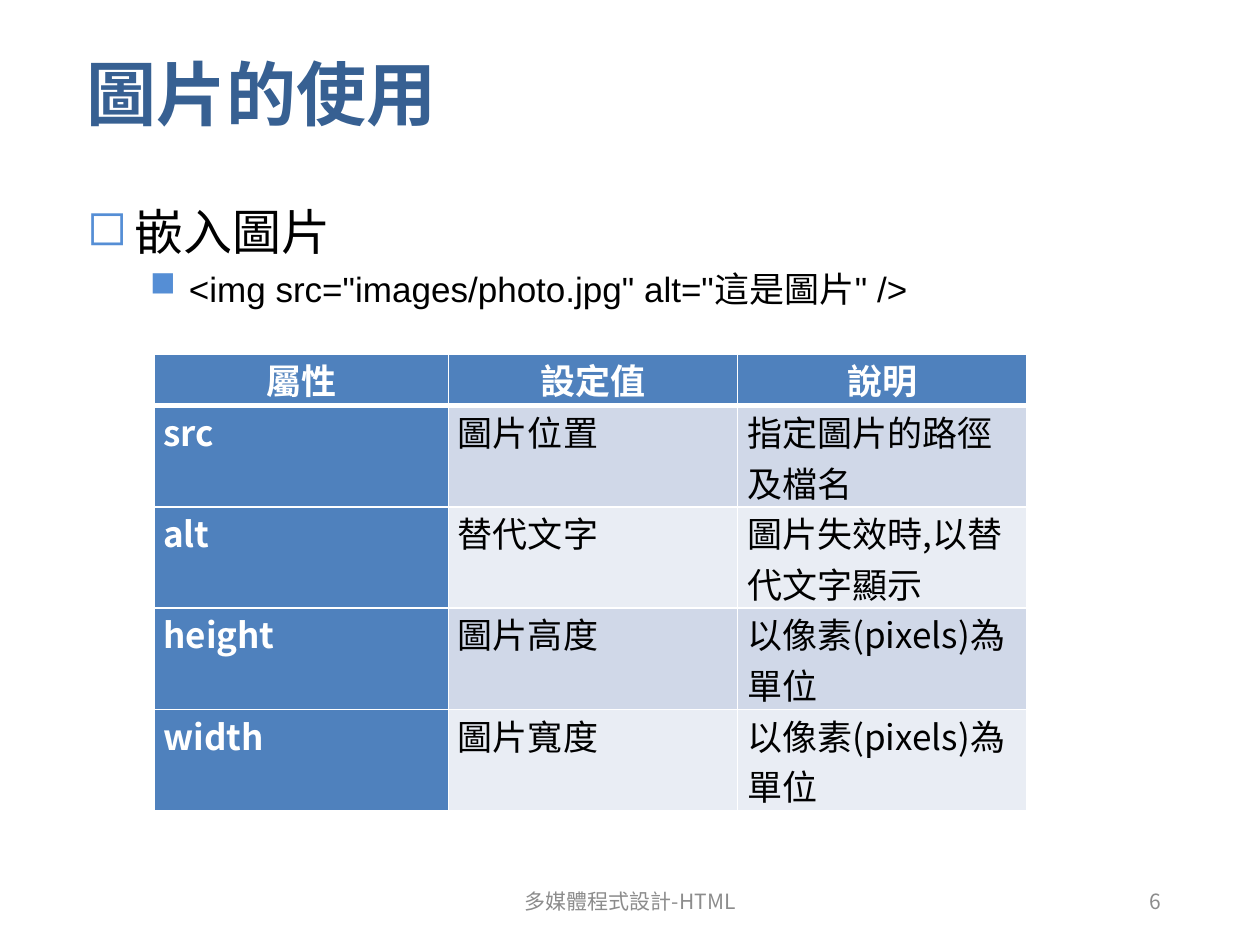
from lxml import etree
from pptx import Presentation
from pptx.dml.color import RGBColor
from pptx.enum.text import MSO_ANCHOR, PP_ALIGN
from pptx.oxml.ns import qn
from pptx.util import Cm, Pt

LEFT, CENTER, RIGHT = PP_ALIGN.LEFT, PP_ALIGN.CENTER, PP_ALIGN.RIGHT
TOP, MIDDLE = MSO_ANCHOR.TOP, MSO_ANCHOR.MIDDLE
LATIN, CJK = "Arial", "Noto Sans CJK KR"
COLORS = {
    "title": "376092", "text": "000000", "bullet": "558ED5", "white": "FFFFFF",
    "header": "4F81BD", "odd": "D0D8E8", "even": "E9EDF4", "footer": "8C8C8C",
}
POINTS = [
    ("嵌入圖片", 28, "◻", 0.97, 0.97),
    ('<img src="images/photo.jpg" alt="這是圖片" />', 20, "■", 2.06, 0.79),
]
ATTRIBUTES = [
    ("屬性", "設定值", "說明"),
    ("src", "圖片位置", "指定圖片的路徑及檔名"),
    ("alt", "替代文字", "圖片失效時,以替代文字顯示"),
    ("height", "圖片高度", "以像素(pixels)為單位"),
    ("width", "圖片寬度", "以像素(pixels)為單位"),
]


def write(paragraph, text, color, size, name=CJK, bold=False, align=LEFT):
    """Add one formatted run to a paragraph."""
    paragraph.alignment = align
    run = paragraph.add_run()
    run.text = text
    for key, value in {"size": Pt(size), "name": name, "bold": bold}.items():
        setattr(run.font, key, value)
    run.font.color.rgb = RGBColor.from_string(COLORS[color])
    etree.SubElement(run.font._element, qn("a:ea"), typeface=CJK)


def add_frame(slide, box, anchor):
    """Add a wrapping text box and return its text frame."""
    frame = slide.shapes.add_textbox(*map(Cm, box)).text_frame
    frame.word_wrap = True
    frame.vertical_anchor = anchor
    return frame


def add_label(slide, box, text, color, size, **style):
    """Place a single line of text centred vertically in its box."""
    write(add_frame(slide, box, MIDDLE).paragraphs[0], text, color, size, **style)


def add_points(slide, box):
    """Place the bulleted outline."""
    frame = add_frame(slide, box, TOP)
    for index, (text, size, bullet, margin, hang) in enumerate(POINTS):
        paragraph = frame.add_paragraph() if index else frame.paragraphs[0]
        paragraph.space_before = Pt(size * 0.2)
        write(paragraph, text, "text", size, LATIN)
        props = paragraph._p.get_or_add_pPr()
        props.set("marL", str(Cm(margin)))
        props.set("indent", str(-Cm(hang)))
        tint = etree.SubElement(props, qn("a:buClr"))
        etree.SubElement(tint, qn("a:srgbClr"), val=COLORS["bullet"])
        etree.SubElement(props, qn("a:buChar"), char=bullet)


def draw_borders(cell, widths):
    """Give a cell white borders of the given widths by side."""
    props = cell._tc.get_or_add_tcPr()
    for index, (side, width) in enumerate(widths.items()):
        line = etree.Element(qn(f"a:ln{side}"), w=str(Pt(width)))
        fill = etree.SubElement(line, qn("a:solidFill"))
        etree.SubElement(fill, qn("a:srgbClr"), val=COLORS["white"])
        props.insert(index, line)


def add_attributes(slide, box, widths, heights):
    """Place the table of image attributes."""
    table = slide.shapes.add_table(len(heights), len(widths), *map(Cm, box)).table
    table.first_col = True
    for column, width in zip(table.columns, widths):
        column.width = Cm(width)
    for row, height in zip(table.rows, heights):
        row.height = Cm(height)
    for r, values in enumerate(ATTRIBUTES):
        for c, text in enumerate(values):
            cell = table.cell(r, c)
            heading = r == 0 or c == 0
            fill = "header" if heading else "odd" if r % 2 else "even"
            margins = {"margin_left": 0.19, "margin_right": 0.19,
                       "margin_top": 0, "margin_bottom": 0}
            for key, value in margins.items():
                setattr(cell, key, Cm(value))
            cell.fill.solid()
            cell.fill.fore_color.rgb = RGBColor.from_string(COLORS[fill])
            draw_borders(cell, {"L": 1, "R": 1, "T": 3 if r == 1 else 1, "B": 1 if r else 3})
            write(cell.text_frame.paragraphs[0], text, "white" if heading else "text",
                  20, bold=heading, align=LEFT if r else CENTER)


def main():
    """Build and save the slide."""
    deck = Presentation()
    deck.slide_width, deck.slide_height = Cm(25.4), Cm(19.05)
    slide = deck.slides.add_slide(deck.slide_layouts[6])
    add_label(slide, (1.5, 0.13, 22.15, 3.48), "圖片的使用", "title", 40, name=LATIN, bold=True)
    add_points(slide, (1.5, 3.94, 22.15, 13.41))
    add_attributes(slide, (3.1, 7.14, 17.6, 9.2), (5.94, 5.83, 5.83), [1.04] + [2.04] * 4)
    add_label(slide, (8.41, 17.65, 8.59, 1.02), "多媒體程式設計-HTML", "footer", 12, align=CENTER)
    add_label(slide, (17.93, 17.65, 5.72, 1.02), "6", "footer", 12, align=RIGHT)
    deck.save("out.pptx")


if __name__ == "__main__":
    main()
